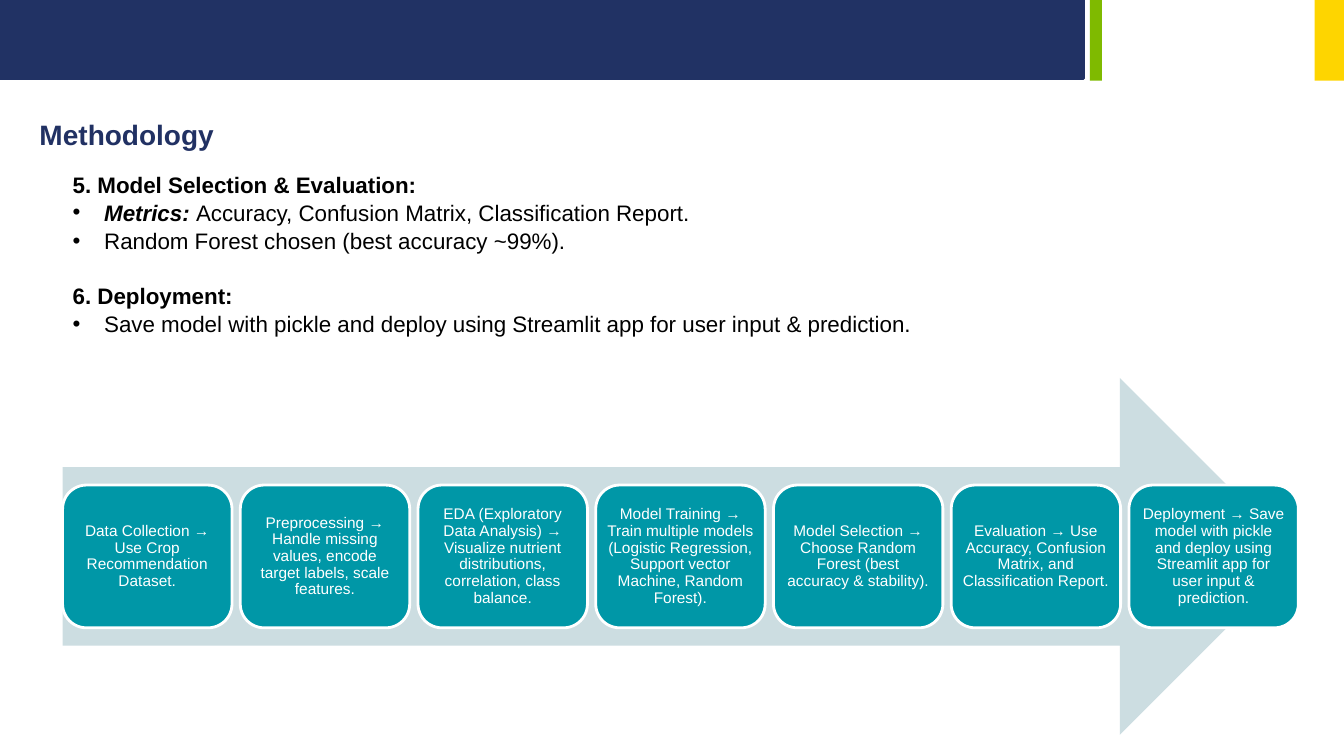
from lxml import etree
from pptx import Presentation
from pptx import util as u
from pptx.dml.color import RGBColor
from pptx.enum import shapes, text
from pptx.oxml.ns import qn

FONT = "Arial"
NAVY, GREEN, YELLOW = "213264", "7FBA00", "FED500"
TITLE_BLUE, TEAL, PALE = "213163", "0097A7", "CCDDE1"
WHITE, BLACK = "FFFFFF", "000000"

# Each section: heading, then bullets as (bold italic lead, plain text)
SECTIONS = [
    ("5. Model Selection & Evaluation:", [
        ("Metrics: ", "Accuracy, Confusion Matrix, Classification Report."),
        ("", "Random Forest chosen (best accuracy ~99%)."),
    ]),
    ("6. Deployment:", [
        ("", "Save model with pickle and deploy using Streamlit app "
             "for user input & prediction."),
    ]),
]
STEPS = [
    "Data Collection → Use Crop Recommendation Dataset.",
    "Preprocessing → Handle missing values, encode target labels, scale features.",
    "EDA (Exploratory Data Analysis) → Visualize nutrient distributions, "
    "correlation, class balance.",
    "Model Training → Train multiple models (Logistic Regression, "
    "Support vector Machine, Random Forest).",
    "Model Selection → Choose Random Forest (best accuracy & stability).",
    "Evaluation → Use Accuracy, Confusion Matrix, and Classification Report.",
    "Deployment → Save model with pickle and deploy using Streamlit app "
    "for user input & prediction.",
]


def colour(value):
    return RGBColor.from_string(value)


def style(span, size, value, bold=False, italic=False):
    span.font.name = FONT
    span.font.size = u.Pt(size)
    span.font.bold = bold
    span.font.italic = italic
    span.font.color.rgb = colour(value)


def add_box(page, kind, box, fill, line=None):
    shape = page.shapes.add_shape(kind, *map(u.Pt, box))
    shape.shadow.inherit = False
    shape.fill.solid()
    shape.fill.fore_color.rgb = colour(fill)
    if line:
        shape.line.color.rgb = colour(line)
        shape.line.width = u.Pt(2)
    else:
        shape.line.fill.background()
    return shape


def place(holder, box):
    holder.left, holder.top, holder.width, holder.height = map(u.Pt, box)
    frame = holder.text_frame
    frame.word_wrap = True
    frame.auto_size = text.MSO_AUTO_SIZE.NONE
    frame.vertical_anchor = text.MSO_ANCHOR.TOP
    return frame


def set_bullet(para, indent, char=None):
    props = para._p.get_or_add_pPr()
    props.set("marL", str(u.Pt(indent)))
    props.set("indent", str(-u.Pt(indent)))
    if char:
        etree.SubElement(props, qn("a:buFont")).set("typeface", FONT)
        etree.SubElement(props, qn("a:buChar")).set("char", char)
    else:
        etree.SubElement(props, qn("a:buNone"))


def add_banner(page, box):
    left, top, width, height = box
    rect = shapes.MSO_SHAPE.RECTANGLE
    add_box(page, rect, (left, top, 774, height - 1.5), NAVY, NAVY)
    add_box(page, rect, (left + 778.5, top, 8.6, height), GREEN)
    add_box(page, rect, (left + width - 21, top, 21, height), YELLOW)


def add_title(page, box):
    frame = place(page.shapes.title, box)
    frame.text = "Methodology"
    para = frame.paragraphs[0]
    para.alignment = text.PP_ALIGN.LEFT
    style(para.runs[0], 20, TITLE_BLUE, bold=True)


def add_sections(page, box):
    frame = place(page.placeholders[1], box)
    para = frame.paragraphs[0]
    for number, (heading, bullets) in enumerate(SECTIONS):
        lines = [(heading, "")] + bullets
        for row, (lead, plain) in enumerate(lines):
            if number or row:
                para = frame.add_paragraph()
            para.line_spacing = 1.05
            para.space_before = u.Pt(19.3 if number and not row else 0)
            set_bullet(para, 22.5 if row else 0, "•" if row else None)
            for words, strong in ((lead, True), (plain, False)):
                if words:
                    span = para.add_run()
                    span.text = words
                    style(span, 16, BLACK, bold=strong, italic=strong and row > 0)


def add_step(page, box, words):
    card = add_box(page, shapes.MSO_SHAPE.ROUNDED_RECTANGLE, box, TEAL, WHITE)
    frame = card.text_frame
    frame.word_wrap = True
    frame.vertical_anchor = text.MSO_ANCHOR.MIDDLE
    frame.margin_left = frame.margin_right = u.Pt(3.3)
    frame.margin_top = frame.margin_bottom = u.Pt(3.3)
    frame.text = words
    para = frame.paragraphs[0]
    para.alignment = text.PP_ALIGN.CENTER
    para.line_spacing = 0.9
    style(para.runs[0], 11, WHITE)


def add_process(page, box):
    left, top, width, height = box
    add_box(page, shapes.MSO_SHAPE.RIGHT_ARROW, box, PALE)
    # Cards span the arrow evenly and sit on its centre line
    card_width, card_height = 121, height * 0.4
    pitch = (width - card_width) / (len(STEPS) - 1)
    card_top = top + (height - card_height) / 2
    for index, words in enumerate(STEPS):
        add_step(page, (left + index * pitch, card_top, card_width, card_height), words)


def main():
    deck = Presentation()
    deck.slide_width, deck.slide_height = u.Pt(960), u.Pt(540)
    page = deck.slides.add_slide(deck.slide_layouts[1])
    add_banner(page, (0, 0, 960, 57.6))
    add_title(page, (21, 80, 480, 32))
    add_process(page, (44.7, 270, 882.7, 254.9))
    add_sections(page, (44.7, 117.4, 832, 146))
    deck.save("out.pptx")


if __name__ == "__main__":
    main()
